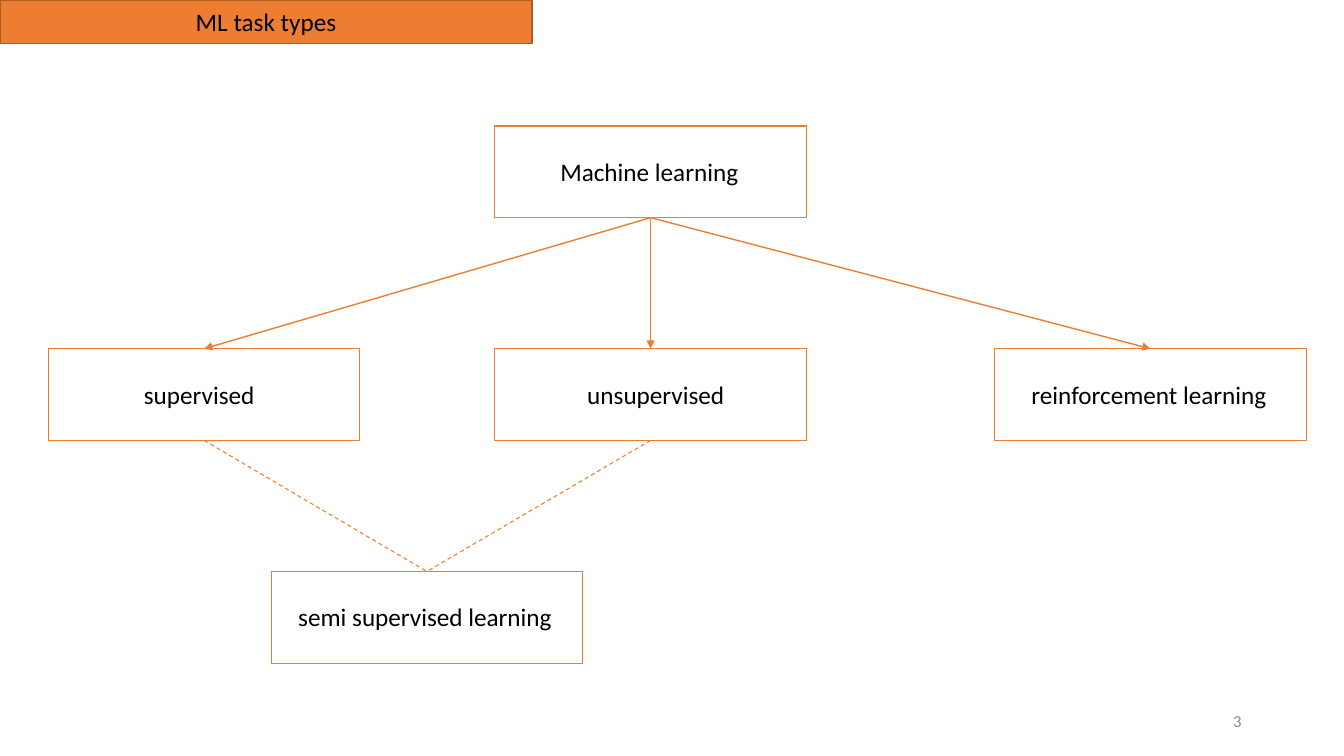
from dataclasses import dataclass

from lxml import etree
from pptx import Presentation
from pptx.dml.color import RGBColor
from pptx.enum.dml import MSO_LINE
from pptx.enum.shapes import MSO_CONNECTOR, MSO_SHAPE
from pptx.enum.text import MSO_ANCHOR, MSO_AUTO_SIZE, PP_ALIGN
from pptx.oxml.ns import qn
from pptx.util import Pt

RECTANGLE = MSO_SHAPE.RECTANGLE
STRAIGHT = MSO_CONNECTOR.STRAIGHT
DASH = MSO_LINE.DASH
MIDDLE, TOP = MSO_ANCHOR.MIDDLE, MSO_ANCHOR.TOP
LEFT, CENTER, RIGHT = PP_ALIGN.LEFT, PP_ALIGN.CENTER, PP_ALIGN.RIGHT
FIT_SHAPE = MSO_AUTO_SIZE.SHAPE_TO_FIT_TEXT
TOP_SITE, BOTTOM_SITE = 0, 2


@dataclass(frozen=True)
class Theme:
    font: str = "Calibri"
    accent: RGBColor = RGBColor(0xED, 0x7D, 0x31)
    accent_dark: RGBColor = RGBColor(0xAF, 0x5C, 0x24)
    text: RGBColor = RGBColor(0, 0, 0)
    muted: RGBColor = RGBColor(0x8C, 0x8C, 0x8C)
    body_size: float = 18
    number_size: float = 12
    thin: float = 0.75
    regular: float = 1


class SlideBuilder:
    def __init__(self, slide, theme):
        self.shapes = slide.shapes
        self.theme = theme

    def set_text(self, frame, text, align, size, color):
        paragraph = frame.paragraphs[0]
        paragraph.text = text
        paragraph.alignment = align
        paragraph.font.name = self.theme.font
        paragraph.font.size = Pt(size)
        paragraph.font.color.rgb = color

    def box(self, left, top, width, height):
        box = self.shapes.add_shape(RECTANGLE, Pt(left), Pt(top), Pt(width), Pt(height))
        box.shadow.inherit = False
        box.fill.background()
        box.line.color.rgb = self.theme.accent
        box.line.width = Pt(self.theme.thin)
        return box

    def banner(self, text, width, height):
        banner = self.box(0, 0, width, height)
        banner.fill.solid()
        banner.fill.fore_color.rgb = self.theme.accent
        banner.line.color.rgb = self.theme.accent_dark
        banner.line.width = Pt(self.theme.regular)
        banner.text_frame.vertical_anchor = MIDDLE
        self.set_text(banner.text_frame, text, CENTER, self.theme.body_size, self.theme.text)

    def text_box(self, left, top, width, height, wrap, anchor):
        frame = self.shapes.add_textbox(Pt(left), Pt(top), Pt(width), Pt(height)).text_frame
        frame.word_wrap = wrap
        frame.vertical_anchor = anchor
        return frame

    def label(self, text, left, top, width, height):
        frame = self.text_box(left, top, width, height, False, TOP)
        frame.auto_size = FIT_SHAPE
        self.set_text(frame, text, LEFT, self.theme.body_size, self.theme.text)

    def page_number(self, text, left, top, width, height):
        frame = self.text_box(left, top, width, height, True, MIDDLE)
        self.set_text(frame, text, RIGHT, self.theme.number_size, self.theme.muted)

    def link(self, parent, child, width):
        link = self.shapes.add_connector(STRAIGHT, 0, 0, 0, 0)
        link.begin_connect(parent, BOTTOM_SITE)
        link.end_connect(child, TOP_SITE)
        link.line.color.rgb = self.theme.accent
        link.line.width = Pt(width)
        etree.SubElement(link._element.spPr, qn("a:effectLst"))
        return link

    def arrow(self, parent, child):
        arrow = self.link(parent, child, self.theme.regular)
        outline = arrow._element.spPr.find(qn("a:ln"))
        etree.SubElement(outline, qn("a:tailEnd"), type="triangle")

    def dashed_link(self, parent, child):
        self.link(parent, child, self.theme.thin).line.dash_style = DASH


NODE_WIDTH, NODE_HEIGHT = 222.5, 65.5
FIRST_ROW, ROW_STEP = 90, 159.1
LABEL_OFFSET, LABEL_HEIGHT = 18, 29
ROOT = "Machine learning"
SUPERVISED, UNSUPERVISED = "supervised", "unsupervised"
REINFORCEMENT = "reinforcement learning"
SEMI_SUPERVISED = "semi supervised learning"

NODES = {
    ROOT: (353.5, 0, 143.3, 0),
    REINFORCEMENT: (710.6, 1, 184.3, 0),
    UNSUPERVISED: (353.5, 1, 113.8, 4.5),
    SUPERVISED: (34.6, 1, 94.3, -3),
    SEMI_SUPERVISED: (193.7, 2, 198, 0),
}

presentation = Presentation()
presentation.slide_width, presentation.slide_height = Pt(960), Pt(540)
slide = presentation.slides.add_slide(presentation.slide_layouts[6])
builder = SlideBuilder(slide, Theme())

builder.page_number("3", 678, 500.5, 216, 28.8)
builder.banner("ML task types", 380, 31)

boxes = {
    text: builder.box(left, FIRST_ROW + row * ROW_STEP, NODE_WIDTH, NODE_HEIGHT)
    for text, (left, row, label_width, label_shift) in NODES.items()
}
for task in (SUPERVISED, UNSUPERVISED, REINFORCEMENT):
    builder.arrow(boxes[ROOT], boxes[task])
for task in (SUPERVISED, UNSUPERVISED):
    builder.dashed_link(boxes[task], boxes[SEMI_SUPERVISED])
for text, (left, row, label_width, label_shift) in NODES.items():
    label_left = left + (NODE_WIDTH - label_width) / 2 + label_shift
    label_top = FIRST_ROW + row * ROW_STEP + LABEL_OFFSET
    builder.label(text, label_left, label_top, label_width, LABEL_HEIGHT)

presentation.save("out.pptx")
